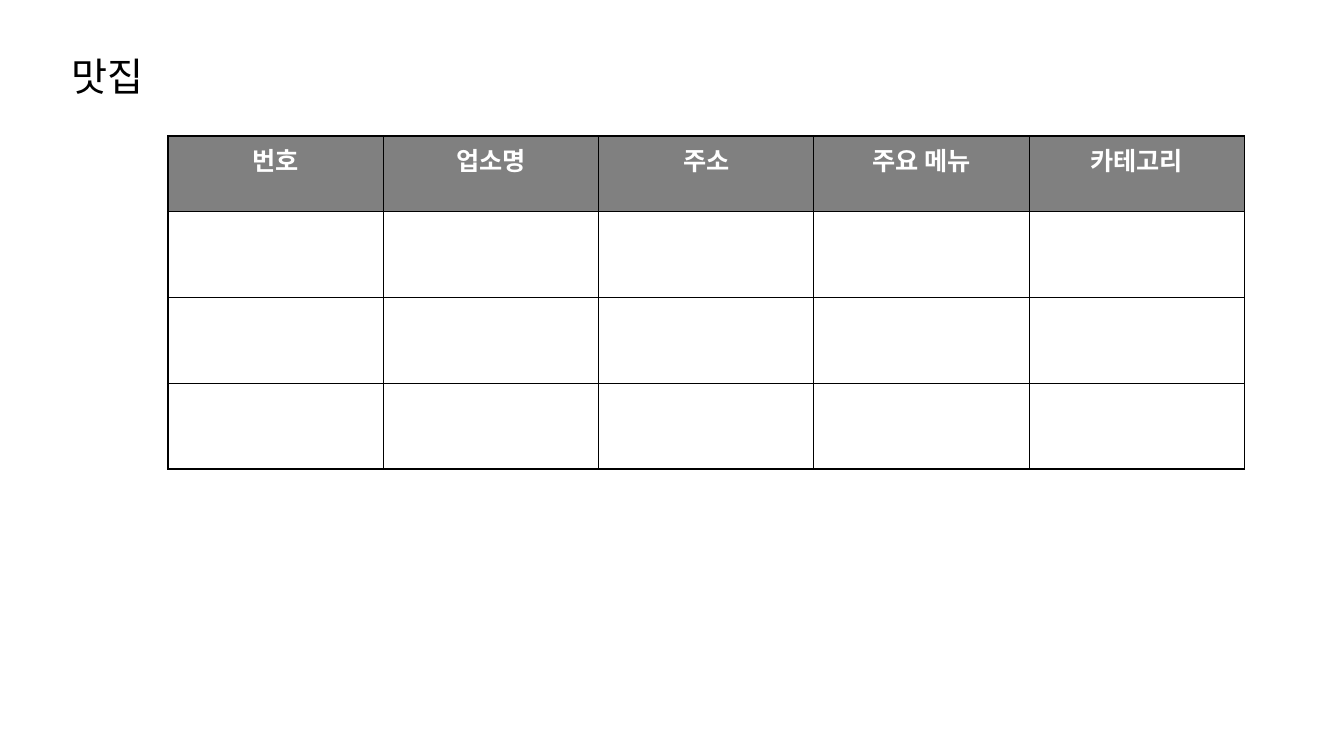
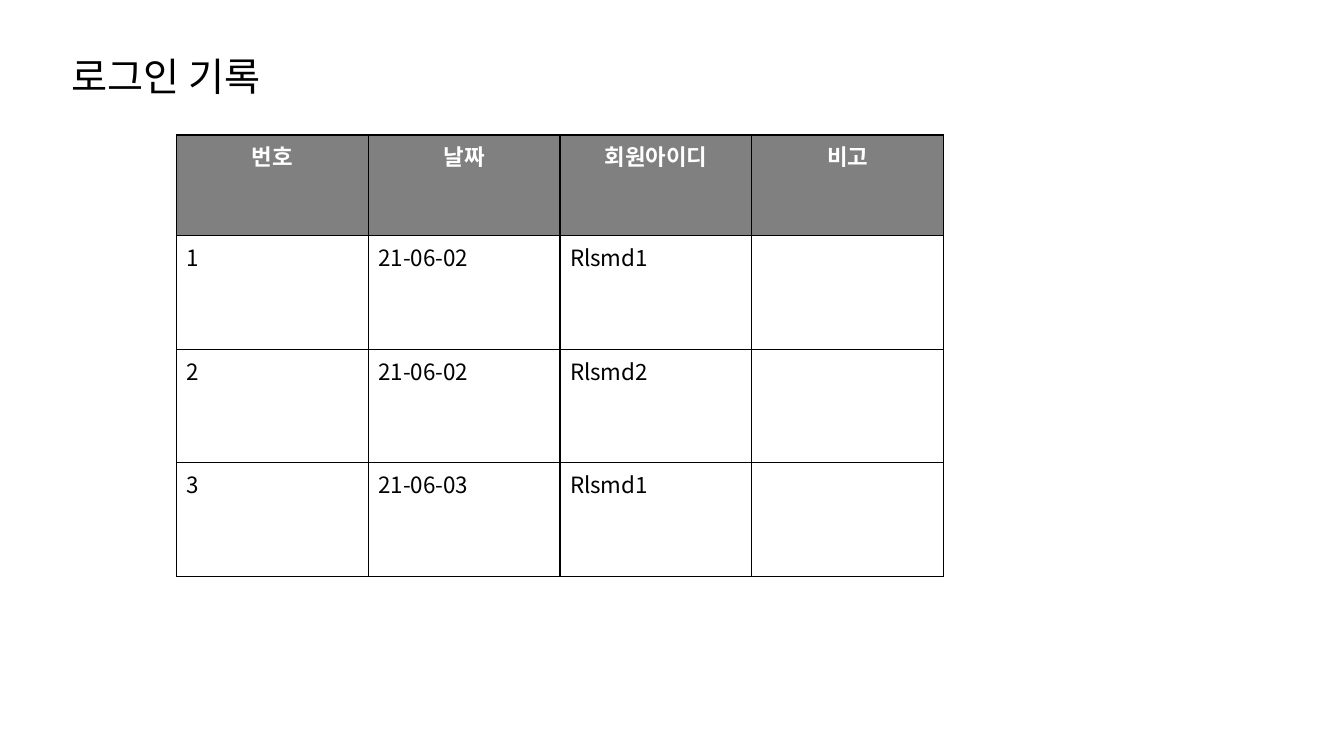
from lxml.etree import SubElement
from pptx import Presentation
from pptx.dml.color import RGBColor
from pptx.enum.text import MSO_AUTO_SIZE as AutoSize, PP_ALIGN as Align
from pptx.oxml.ns import qn
from pptx.util import Pt

# Shared style
FONT = "Noto Sans CJK KR"
BLACK, WHITE, GRAY = "000000", "FFFFFF", "808080"
TITLE_BOX = (44, 34, 189, 41)
TITLE_SIZE = 28
BORDER_WIDTH = 1


def rgb(color):
    return RGBColor.from_string(color)


def style_text(paragraph, size, color, bold=False):
    for run in paragraph.runs:
        font = run.font
        font.name, font.size, font.bold = FONT, Pt(size), bold
        font.color.rgb = rgb(color)
        # Korean glyphs take the East Asian typeface
        SubElement(font._element, qn("a:ea"), typeface=FONT)


def add_title(slide, title):
    frame = slide.shapes.add_textbox(*map(Pt, TITLE_BOX)).text_frame
    frame.word_wrap = True
    frame.auto_size = AutoSize.SHAPE_TO_FIT_TEXT
    frame.text = title
    style_text(frame.paragraphs[0], TITLE_SIZE, BLACK)


def add_borders(cell):
    properties = cell._tc.get_or_add_tcPr()
    for side in ("lnL", "lnR", "lnT", "lnB"):
        line = SubElement(properties, qn(f"a:{side}"), w=str(Pt(BORDER_WIDTH)))
        fill = SubElement(line, qn("a:solidFill"))
        SubElement(fill, qn("a:srgbClr"), val=BLACK)


def fill_cell(cell, text, size, is_header):
    # Borders come before the fill in the cell properties
    add_borders(cell)
    cell.fill.solid()
    cell.fill.fore_color.rgb = rgb(GRAY if is_header else WHITE)
    if text:
        cell.text_frame.text = text
        paragraph = cell.text_frame.paragraphs[0]
        paragraph.alignment = Align.CENTER if is_header else Align.LEFT
        style_text(paragraph, size, WHITE if is_header else BLACK, is_header)


def add_grid(slide, rows, left, top, column_width, header_height, row_height, size):
    columns = len(rows[0])
    heights = [header_height] + [row_height] * (len(rows) - 1)
    table = slide.shapes.add_table(
        len(rows), columns, Pt(left), Pt(top),
        Pt(column_width * columns), Pt(sum(heights))).table
    for column in table.columns:
        column.width = Pt(column_width)
    for r, (texts, height) in enumerate(zip(rows, heights)):
        table.rows[r].height = Pt(height)
        for c, text in enumerate(texts):
            fill_cell(table.cell(r, c), text, size, is_header=r == 0)


def add_table_slide(deck, title, rows, **grid):
    slide = deck.slides.add_slide(deck.slide_layouts[6])
    add_grid(slide, rows, **grid)
    add_title(slide, title)


def main():
    deck = Presentation()
    deck.slide_width, deck.slide_height = Pt(960), Pt(540)

    # Restaurants: three rows left open
    restaurants = [["번호", "업소명", "주소", "주요 메뉴", "카테고리"]] + [[""] * 5] * 3
    add_table_slide(deck, "맛집", restaurants, left=120, top=97.2, column_width=153.8,
                    header_height=54, row_height=61.3, size=18)

    # Login records
    logins = [
        ["번호", "날짜", "회원아이디", "비고"],
        ["1", "21-06-02", "Rlsmd1", ""],
        ["2", "21-06-02", "Rlsmd2", ""],
        ["3", "21-06-03", "Rlsmd1", ""],
    ]
    add_table_slide(deck, "로그인 기록", logins, left=126, top=96.4, column_width=137,
                    header_height=71.8, row_height=81.2, size=16)

    deck.save("out.pptx")


if __name__ == "__main__":
    main()
